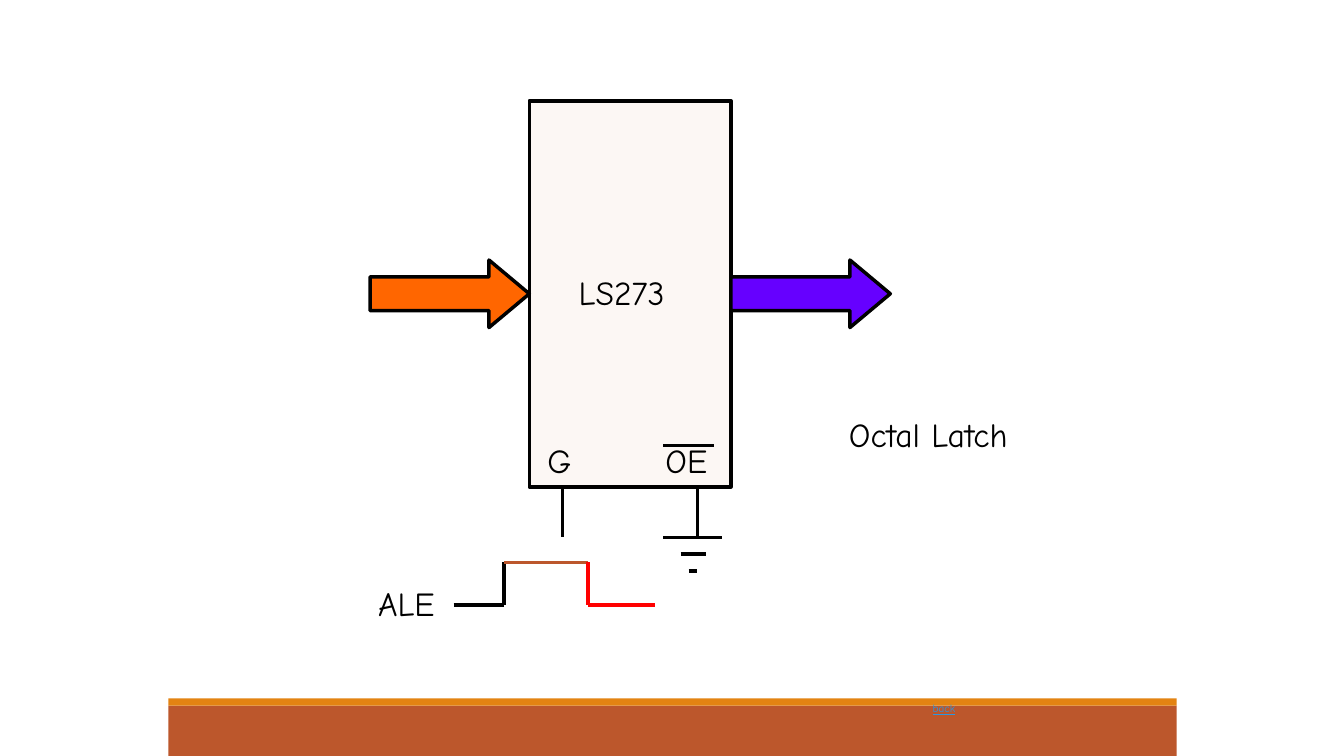
from itertools import pairwise

from lxml import etree
from pptx import Presentation
from pptx.dml.color import RGBColor
from pptx.enum.shapes import MSO_CONNECTOR, MSO_SHAPE
from pptx.enum.text import PP_ALIGN
from pptx.oxml.ns import qn
from pptx.util import Inches, Pt

COLORS = {
    "black": "000000", "rust": "BC572C", "amber": "E38312", "chip": "FCF7F4",
    "orange": "FF6600", "violet": "6600FF", "red": "FF0000", "sky": "2997E2",
}
FONT = "Comic Neue"
LINE_WIDTH = Pt(2.5)


def color(name):
    return RGBColor.from_string(COLORS[name])


def add_block(page, kind, box, fill, outlined=True):
    shape = page.shapes.add_shape(kind, *map(Inches, box))
    shape.shadow.inherit = False
    shape.fill.solid()
    shape.fill.fore_color.rgb = color(fill)
    if outlined:
        shape.line.color.rgb = color("black")
        shape.line.width = LINE_WIDTH
    else:
        shape.line.fill.background()
    return shape


def add_line(page, start, end, line_color="black"):
    line = page.shapes.add_connector(
        MSO_CONNECTOR.STRAIGHT, *map(Inches, (*start, *end)))
    line.line.color.rgb = color(line_color)
    line.line.width = LINE_WIDTH
    etree.SubElement(line._element.spPr, qn("a:effectLst"))


def add_text(page, text, box, size=24, text_color="black", underline=False):
    frame = page.shapes.add_textbox(*map(Inches, box)).text_frame
    frame.margin_left = frame.margin_right = frame.margin_bottom = 0
    frame.margin_top = Inches(0.01)
    frame.word_wrap = False
    para = frame.paragraphs[0]
    para.alignment = PP_ALIGN.LEFT
    span = para.add_run()
    span.text = text
    span.font.name = FONT
    span.font.size = Pt(size)
    span.font.color.rgb = color(text_color)
    span.font.underline = underline


def add_footer(page, left, top, width, height):
    stripe = 0.07
    add_block(page, MSO_SHAPE.RECTANGLE, (left, top + stripe, width, height - stripe),
              "rust", outlined=False)
    add_block(page, MSO_SHAPE.RECTANGLE, (left, top, width, stripe),
              "amber", outlined=False)
    add_text(page, "back", (left + 7.58, top + 0.02, 0.27, 0.15),
             size=8, text_color="sky", underline=True)


def add_bus_arrow(page, left, middle, fill):
    width, height, head = 1.58, 0.67, 0.4
    arrow = add_block(page, MSO_SHAPE.RIGHT_ARROW,
                      (left, middle - height / 2, width, height), fill)
    arrow.adjustments[0] = 0.5
    arrow.adjustments[1] = head / height


def add_ground(page, left, top):
    """Draw a stem down to three ever shorter bars."""
    add_line(page, (left + 0.34, top), (left + 0.34, top + 0.5))
    bars = [(0, 0.58), (0.17, 0.42), (0.25, 0.33)]
    for row, (start, end) in enumerate(bars):
        height = top + 0.5 + row / 6
        add_line(page, (left + start, height), (left + end, height))


def add_latch(page, left, top, width, height):
    """Draw the chip with its buses, pin labels and pin lines."""
    bottom, middle = top + height, top + height / 2
    add_block(page, MSO_SHAPE.RECTANGLE, (left, top, width, height), "chip")
    add_bus_arrow(page, left - 1.58, middle, "orange")
    add_bus_arrow(page, left + width, middle, "violet")
    add_text(page, "LS273", (left + 0.49, middle - 0.23, 1.04, 0.43))
    add_text(page, "G", (left + 0.18, bottom - 0.48, 0.24, 0.43))
    add_text(page, "OE", (left + 1.35, bottom - 0.48, 0.49, 0.43))
    add_line(page, (left + 1.33, bottom - 0.41), (left + 1.83, bottom - 0.41))
    add_line(page, (left + 0.33, bottom), (left + 0.33, bottom + 0.5))
    add_ground(page, left + 1.33, bottom)


def add_pulse(page, left, top, height):
    """Draw the ALE signal: low, rising, high, falling, low."""
    low = top + height
    add_text(page, "ALE", (left, top + 0.19, 0.66, 0.43))
    rise, fall = left + 1.25, left + 2.08
    corners = [(left + 0.75, low), (rise, low), (rise, top),
               (fall, top), (fall, low), (left + 2.75, low)]
    line_colors = ["black", "black", "rust", "red", "red"]
    for (start, end), line_color in zip(pairwise(corners), line_colors):
        add_line(page, start, end, line_color)


def main():
    deck = Presentation()
    deck.slide_width, deck.slide_height = Inches(13.33), Inches(7.5)
    page = deck.slides.add_slide(deck.slide_layouts[6])
    add_footer(page, 1.67, 6.93, 10, 0.57)
    add_latch(page, 5.25, 1, 2, 3.83)
    add_pulse(page, 3.75, 5.58, 0.42)
    add_text(page, "Octal Latch", (8.42, 4.1, 1.86, 0.43))
    deck.save("out.pptx")


if __name__ == "__main__":
    main()
